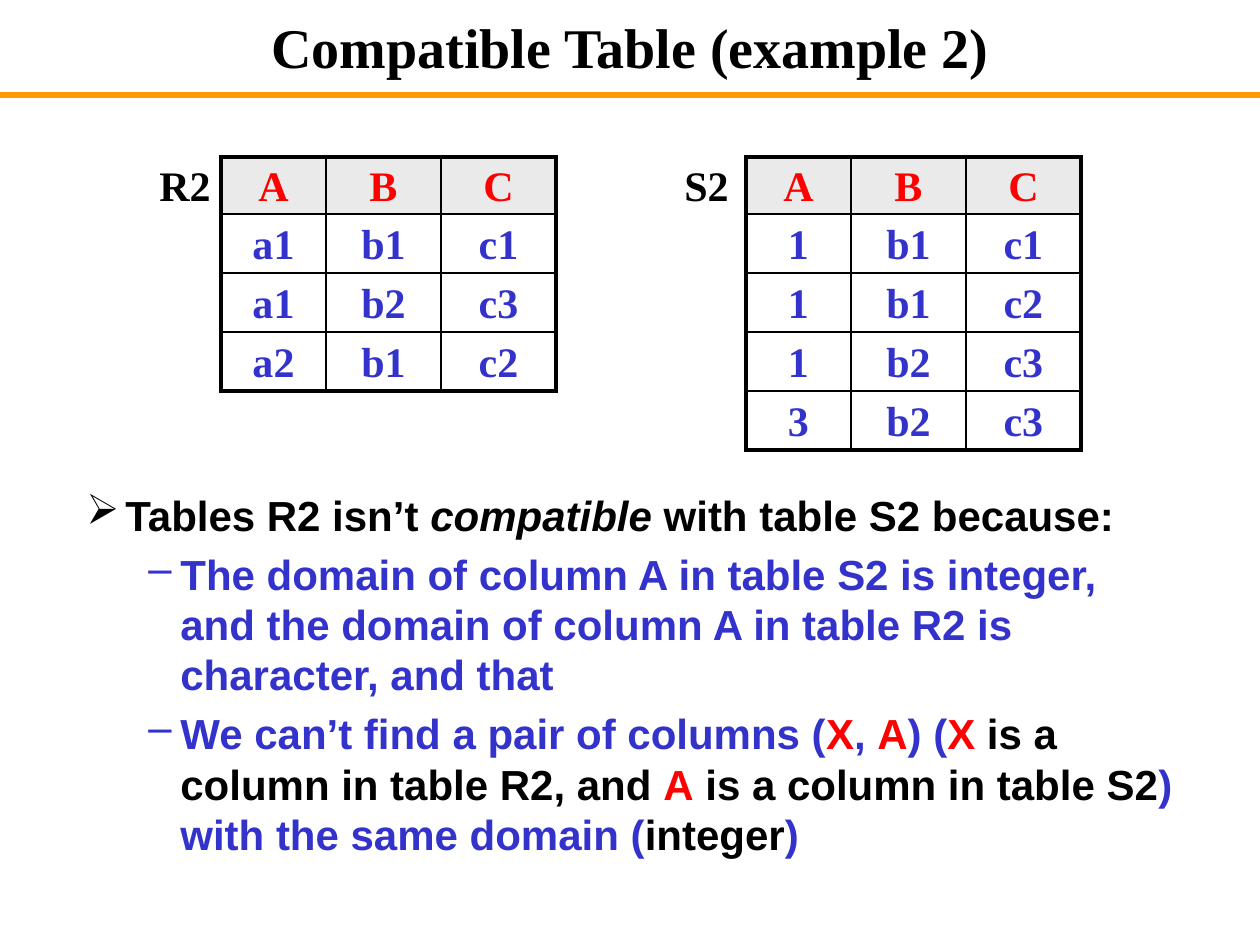
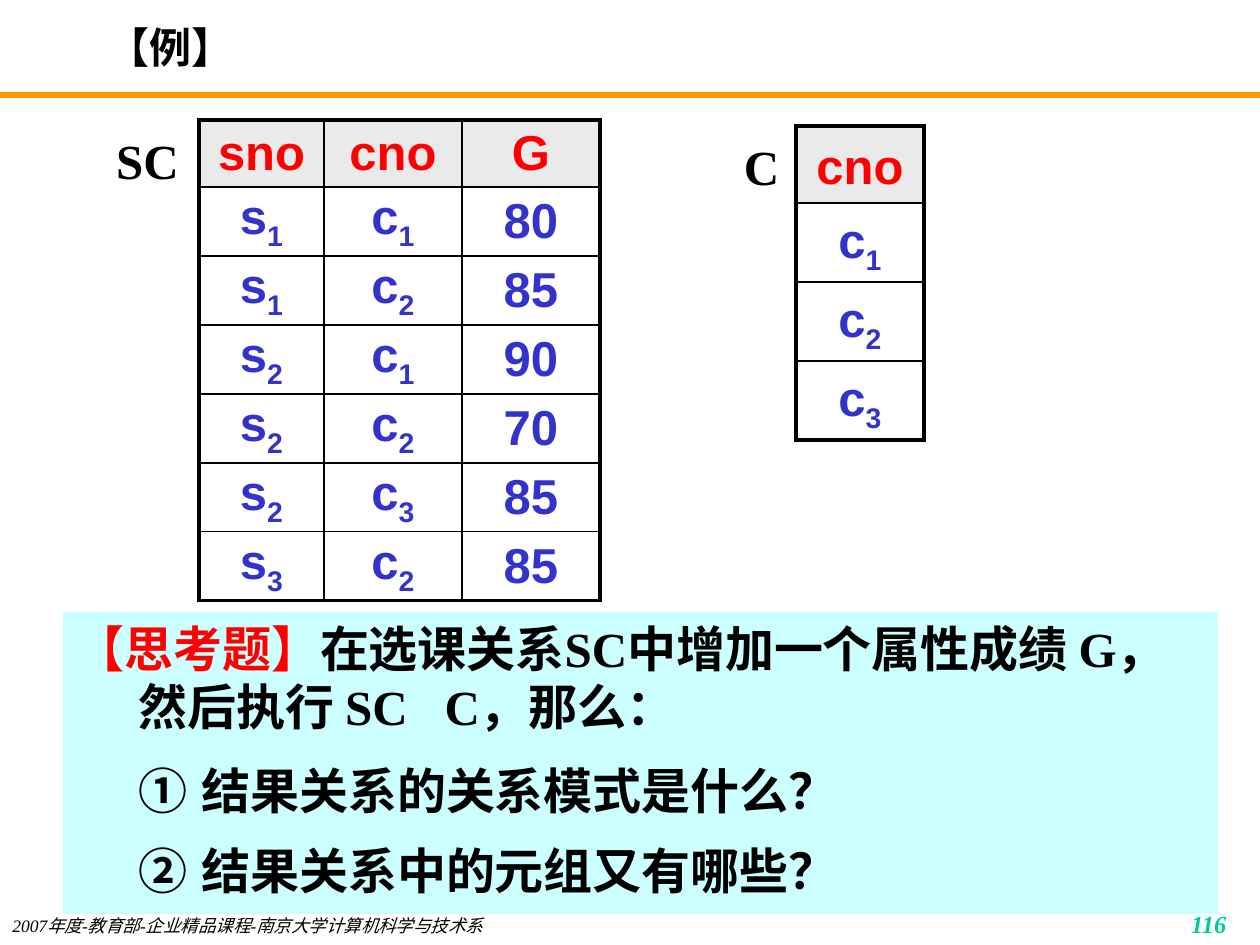
import pptx
import pptx.util
import pptx.dml.color
import pptx.enum.shapes
import pptx.enum.text
import pptx.oxml
import pptx.oxml.ns
import lxml.etree

SCALE = 914400 / 126
SERIF, SANS = "Times New Roman", "Arial"
BLACK, WHITE, RED, BLUE = "000000", "FFFFFF", "FF0000", "3333CC"
ORANGE, GREEN, GREY, CYAN = "FF9900", "00CC99", "EAEAEA", "CCFFFF"
ALIGN = pptx.enum.text.PP_ALIGN
ANCHOR = pptx.enum.text.MSO_ANCHOR


def px(length):
    """Turn a length in px into EMU."""
    return pptx.util.Emu(round(length * SCALE))


def color(hex_string):
    """Turn a hex string into a colour."""
    return pptx.dml.color.RGBColor.from_string(hex_string)


def child(parent, tag, **attributes):
    """Append a DrawingML element to a parent."""
    return lxml.etree.SubElement(parent, pptx.oxml.ns.qn(tag), attributes)


def add_text(paragraph, text, size=24, font=SERIF, ink=BLACK, bold=True, italic=False,
             subscript=False, tracking=0):
    """Add one formatted run to a paragraph."""
    run = paragraph.add_run()
    run.text = text
    run.font.size = pptx.util.Pt(size)
    run.font.name = font
    run.font.color.rgb = color(ink)
    run.font.bold = bold
    run.font.italic = italic
    if subscript:
        run._r.get_or_add_rPr().set("baseline", "-25000")
    if tracking:
        run._r.get_or_add_rPr().set("spc", str(tracking * 100))


def add_box(slide, box, text, align=ALIGN.LEFT, anchor=ANCHOR.TOP, margin=6, **style):
    """Place one line of text in a box."""
    frame = slide.shapes.add_textbox(*map(px, box)).text_frame
    frame.word_wrap = True
    frame.vertical_anchor = anchor
    frame.margin_top = frame.margin_bottom = px(margin)
    frame.paragraphs[0].alignment = align
    add_text(frame.paragraphs[0], text, **style)


def add_item(frame, runs, indent, bullet=None, before=0, spacing=None, **style):
    """Add a paragraph with a hanging indent, an optional bullet and styled runs."""
    first = frame.paragraphs[0]
    paragraph = frame.add_paragraph() if first.runs else first
    properties = paragraph._p.get_or_add_pPr()
    left, hanging = indent
    properties.set("marL", str(px(left)))
    properties.set("indent", str(px(-hanging)))
    if bullet == "circleNumDbPlain":
        child(properties, "a:buAutoNum", type=bullet)
    elif bullet:
        child(properties, "a:buChar", char=bullet)
    if before:
        paragraph.space_before = pptx.util.Pt(before)
    if spacing:
        paragraph.line_spacing = spacing
    for text, changes in runs:
        add_text(paragraph, text, **{**style, **changes})


def add_header(slide, title, align, size):
    """Draw the orange rule and the slide title."""
    rule = slide.shapes.add_connector(
        pptx.enum.shapes.MSO_CONNECTOR.STRAIGHT, px(0), px(95), px(1260), px(95))
    rule.line.color.rgb = color(ORANGE)
    rule.line.width = pptx.util.Pt(3)
    child(rule._element.spPr, "a:effectLst")
    add_box(slide, (95, 10, 1071, 73), title, align, ANCHOR.MIDDLE, size=size)


def set_borders(cell, widths):
    """Draw the left, right, top and bottom borders of a cell."""
    properties = cell._tc.get_or_add_tcPr()
    for position, (side, width) in enumerate(zip("LRTB", widths)):
        line = pptx.oxml.parse_xml(
            f'<a:ln{side} {pptx.oxml.ns.nsdecls("a")} w="{pptx.util.Pt(width)}">'
            f'<a:solidFill><a:srgbClr val="{BLACK}"/></a:solidFill></a:ln{side}>')
        properties.insert(position, line)


def add_relation(slide, box, header, tuples, columns, heights, spacing=1.1, **style):
    """Build a relation table at a left and top, with header and tuple heights."""
    rows = [header.split()] + [line.split() for line in tuples]
    row_heights = [heights[0]] + [heights[1]] * len(tuples)
    relation = slide.shapes.add_table(
        len(rows), len(columns), *map(px, (*box, sum(columns), sum(row_heights)))).table
    for column, width in zip(relation.columns, columns):
        column.width = px(width)
    for r, values in enumerate(rows):
        relation.rows[r].height = px(row_heights[r])
        for c, value in enumerate(values):
            cell = relation.cell(r, c)
            cell.fill.solid()
            cell.fill.fore_color.rgb = color(WHITE if r else GREY)
            cell.vertical_anchor = ANCHOR.MIDDLE
            cell.margin_left = cell.margin_right = px(13)
            cell.margin_top = cell.margin_bottom = 0
            paragraph = cell.text_frame.paragraphs[0]
            paragraph.alignment = ALIGN.CENTER
            paragraph.line_spacing = spacing
            name, _, index = value.partition("_")
            ink = BLUE if r else RED
            add_text(paragraph, name, ink=ink, **style)
            if index:
                add_text(paragraph, index, ink=ink, subscript=True, **style)
            edges = c == 0, c == len(columns) - 1, r == 0, r == len(rows) - 1
            set_borders(cell, [2.25 if edge else 1 for edge in edges])


def add_reasons(slide, box):
    """List why the two tables are not compatible."""
    frame = slide.shapes.add_textbox(*map(px, box)).text_frame
    frame.word_wrap = True
    red, black = {"ink": RED}, {"ink": BLACK}
    add_item(frame, [("Tables R2 isn’t ", {}), ("compatible", {"italic": True}),
                     (" with table S2 because:", {})], (102, 39), "➢", font=SANS)
    domains = [("The domain of column A in table S2 is integer, and the domain of "
                "column A in table R2 is character, and that", {})]
    pairs = [("We can’t find a pair of columns (", {}), ("X", red), (", ", {}), ("A", red),
             (") (", {}), ("X", red), (" is a column in table R2, and ", black), ("A", red),
             (" is a column in table S2", black), (") with the same domain (", {}),
             ("integer", black), (")", {})]
    for reason in (domains, pairs):
        add_item(frame, reason, (157, 32), "–", before=4.8, ink=BLUE, font=SANS)


def add_exercise(slide, box):
    """Draw the panel with the exercise and its two questions."""
    panel = slide.shapes.add_shape(pptx.enum.shapes.MSO_SHAPE.RECTANGLE, *map(px, box))
    panel.shadow.inherit = False
    panel.fill.solid()
    panel.fill.fore_color.rgb = color(CYAN)
    panel.line.fill.background()
    frame = panel.text_frame
    frame.word_wrap = True
    frame.vertical_anchor = ANCHOR.TOP
    add_item(frame, [("【思考题】", {"ink": RED}),
                     ("在选课关系SC中增加一个属性成绩 G，然后执行 SC", {}),
                     (" ", {"tracking": 14}), ("C，那么：", {})],
             (63, 63), size=28)
    add_item(frame, [("结果关系的关系模式是什么？", {})], (126, 63),
             "circleNumDbPlain", before=14, size=28)
    add_item(frame, [("结果关系中的元组又有哪些？", {})], (126, 63),
             "circleNumDbPlain", before=5.6, spacing=1.2, size=28)
    for paragraph in frame.paragraphs:
        paragraph.alignment = ALIGN.LEFT


def add_footer(slide, number):
    """Place the course line and the page number."""
    add_box(slide, (0, 909, 769, 35), "2007年度-教育部-企业精品课程-南京大学计算机科学与技术系",
            size=10, bold=False, italic=True)
    add_box(slide, (977, 903, 262, 32), number, ALIGN.RIGHT, size=14, ink=GREEN, italic=True)


def build_compatible_slide(slide):
    """Build the slide on incompatible tables."""
    add_header(slide, "Compatible Table (example 2)", ALIGN.CENTER, 32)
    relations = {"R2": ["a1 b1 c1", "a1 b2 c3", "a2 b1 c2"],
                 "S2": ["1 b1 c1", "1 b1 c2", "1 b2 c3", "3 b2 c3"]}
    for i, (name, tuples) in enumerate(relations.items()):
        left = 147 + 525 * i
        add_relation(slide, (left + 74, 157), "A B C", tuples, (105, 115, 115), (57, 59))
        add_box(slide, (left, 160, 105, 50), name, margin=0)
    add_reasons(slide, (11, 483, 1176, 410))


def build_exercise_slide(slide):
    """Build the slide with the division exercise."""
    add_header(slide, "【例】", ALIGN.LEFT, 24)
    add_footer(slide, "116")
    style = {"size": 28, "font": SANS}
    grades = ["s_1 c_1 80", "s_1 c_2 85", "s_2 c_1 90", "s_2 c_2 70", "s_2 c_3 85", "s_3 c_2 85"]
    add_relation(slide, (199, 120), "sno cno G", grades, (125, 138, 138), (67, 69),
                 spacing=1.0, **style)
    add_relation(slide, (796, 126), "cno", ["c_1", "c_2", "c_3"], (128,), (77, 79), **style)
    for name, box in (("SC", (95, 131, 105, 59)), ("C", (725, 137, 73, 59))):
        add_box(slide, box, name, ALIGN.CENTER, margin=0, size=28)
    add_exercise(slide, (63, 612, 1155, 302))


def main():
    """Build and save the two slides."""
    deck = pptx.Presentation()
    deck.slide_width, deck.slide_height = px(1260), px(945)
    for build in (build_compatible_slide, build_exercise_slide):
        build(deck.slides.add_slide(deck.slide_layouts[6]))
    deck.save("out.pptx")


if __name__ == "__main__":
    main()
